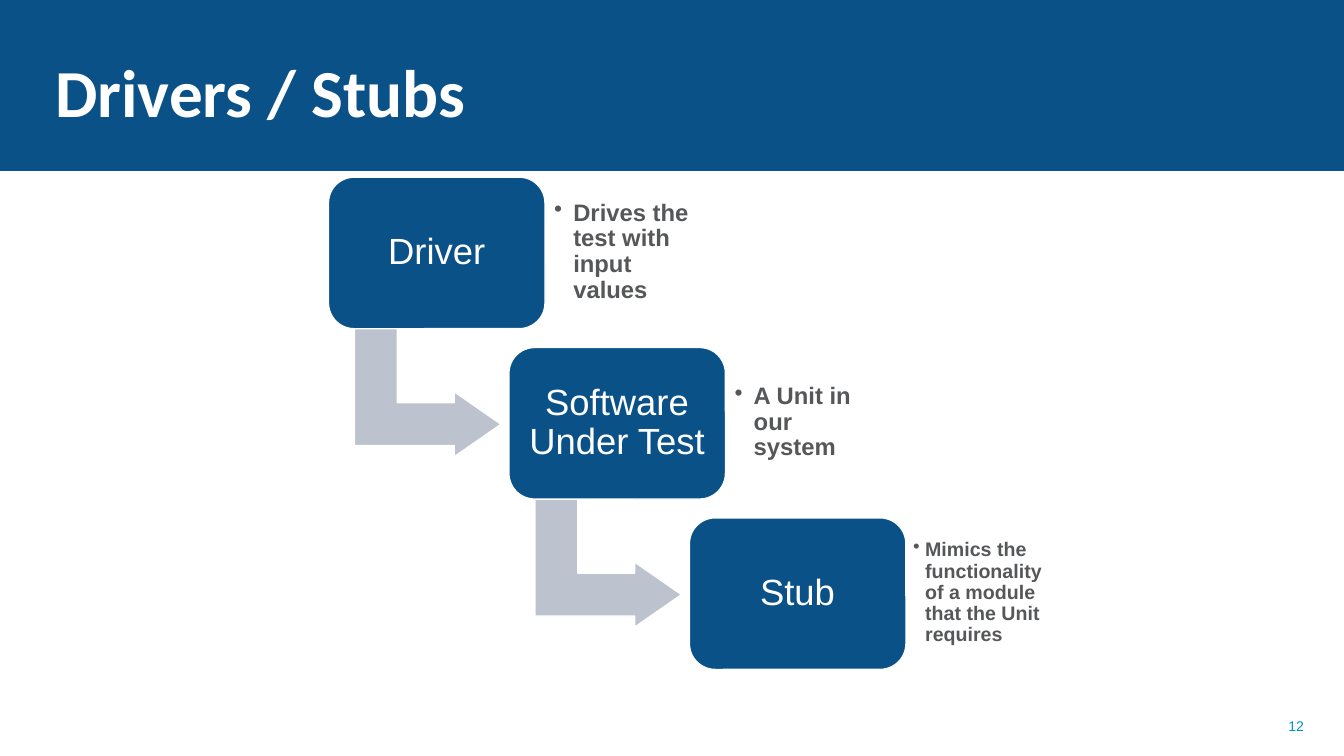
from dataclasses import dataclass

from lxml import etree
from pptx import Presentation
from pptx import util as u
from pptx.dml.color import RGBColor
from pptx.enum import shapes, text
from pptx.oxml.ns import qn


@dataclass
class Theme:
    blue: str = "0A5188"
    gray: str = "BDC2CF"
    ink: str = "565759"
    sky: str = "008FD0"
    white: str = "FFFFFF"
    head: str = "Calibri"
    body: str = "Arial"
    title: int = 48
    label: int = 26
    large: int = 17
    small: int = 14
    page: int = 10


class Deck:
    COL, ROW = 1.79, 1.69
    WIDTH, HEIGHT = 13.33, 7.5

    def __init__(self, theme):
        self.theme = theme
        self.file = Presentation()
        self.file.slide_width = u.Inches(self.WIDTH)
        self.file.slide_height = u.Inches(self.HEIGHT)
        self.slide = self.file.slides.add_slide(self.file.slide_layouts[5])

    def area(self, col, row, wide, high):
        return [u.Inches(n * unit) for n, unit in
                zip((col, row, wide, high), (self.COL, self.ROW) * 2)]

    def words(self, shape, words, size, color, face=None, bold=False,
              align=text.PP_ALIGN.LEFT, anchor=text.MSO_ANCHOR.MIDDLE,
              inset=0.1, lines=None, hang=0):
        frame = shape.text_frame
        frame.text = words
        frame.word_wrap = True
        frame.auto_size = text.MSO_AUTO_SIZE.NONE
        frame.vertical_anchor = anchor
        frame.margin_left = frame.margin_right = u.Inches(inset)
        frame.margin_top = frame.margin_bottom = u.Inches(inset)
        para = frame.paragraphs[0]
        para.alignment = align
        para.line_spacing = lines
        if hang:
            props = para._p.get_or_add_pPr()
            props.set("marL", str(u.Inches(hang)))
            props.set("indent", str(-u.Inches(hang)))
            etree.SubElement(props, qn("a:buChar")).set("char", "•")
        font = para.font
        font.name = face or self.theme.body
        font.size = u.Pt(size)
        font.bold = bold
        font.color.rgb = RGBColor.from_string(color)

    def shape(self, kind, place, fill, line, adjust=()):
        item = self.slide.shapes.add_shape(kind, *place)
        item.shadow.inherit = False
        item.fill.solid()
        item.fill.fore_color.rgb = RGBColor.from_string(fill)
        item.line.color.rgb = RGBColor.from_string(line)
        item.line.width = u.Pt(1)
        for index, value in enumerate(adjust):
            item.adjustments[index] = value
        return item

    def title(self, words):
        look = self.theme
        band = self.area(0, 0, self.WIDTH / self.COL, 1)
        self.shape(shapes.MSO_SHAPE.RECTANGLE, band, look.blue, look.blue)
        item = self.slide.shapes.title
        self.slide.shapes.element.append(item.element)
        item.left, item.top, item.width, item.height = self.area(0.25, 0.08, 5.58, 0.75)
        self.words(item, words, look.title, look.white, look.head, True,
                   anchor=text.MSO_ANCHOR.BOTTOM)

    def arrow(self, col, row):
        place = self.area(col + 0.19, row + 0.83, 0.72, 0.86)
        item = self.shape(shapes.MSO_SHAPE.BENT_UP_ARROW, place, self.theme.gray,
                          self.theme.white, (0.33, 0.25, 0.36))
        item.rotation = 90

    def box(self, col, row, words):
        look = self.theme
        item = self.shape(shapes.MSO_SHAPE.ROUNDED_RECTANGLE,
                          self.area(col, row, 1.2, 0.89), look.blue, look.white, (0.17,))
        self.words(item, words, look.label, look.white,
                   align=text.PP_ALIGN.CENTER, inset=0.11, lines=0.9)

    def note(self, col, row, words, size, inset, hang):
        item = self.slide.shapes.add_textbox(*self.area(col + 1.2, row + 0.08, 0.87, 0.72))
        self.words(item, words, size, self.theme.ink, bold=True,
                   inset=inset, lines=0.9, hang=hang)

    def page(self, number):
        item = self.slide.shapes.add_textbox(*self.area(5.54, 4.14, 1.74, 0.24))
        self.words(item, number, self.theme.page, self.theme.sky,
                   align=text.PP_ALIGN.RIGHT)


def main():
    theme = Theme()
    deck = Deck(theme)
    deck.title("Drivers / Stubs")
    deck.page("12")
    steps = [
        ("Driver", "Drives the test with input values", theme.large, 0.09, 0.19),
        ("Software Under Test", "A Unit in our system", theme.large, 0.09, 0.19),
        ("Stub", "Mimics the functionality of a module that the Unit requires",
         theme.small, 0.07, 0.12),
    ]
    for index, (label, words, size, inset, hang) in enumerate(steps):
        col, row = 1.82 + index, 1.04 + index
        if index < len(steps) - 1:
            deck.arrow(col, row)
        deck.box(col, row, label)
        deck.note(col, row, words, size, inset, hang)
    deck.file.save("out.pptx")


if __name__ == "__main__":
    main()
